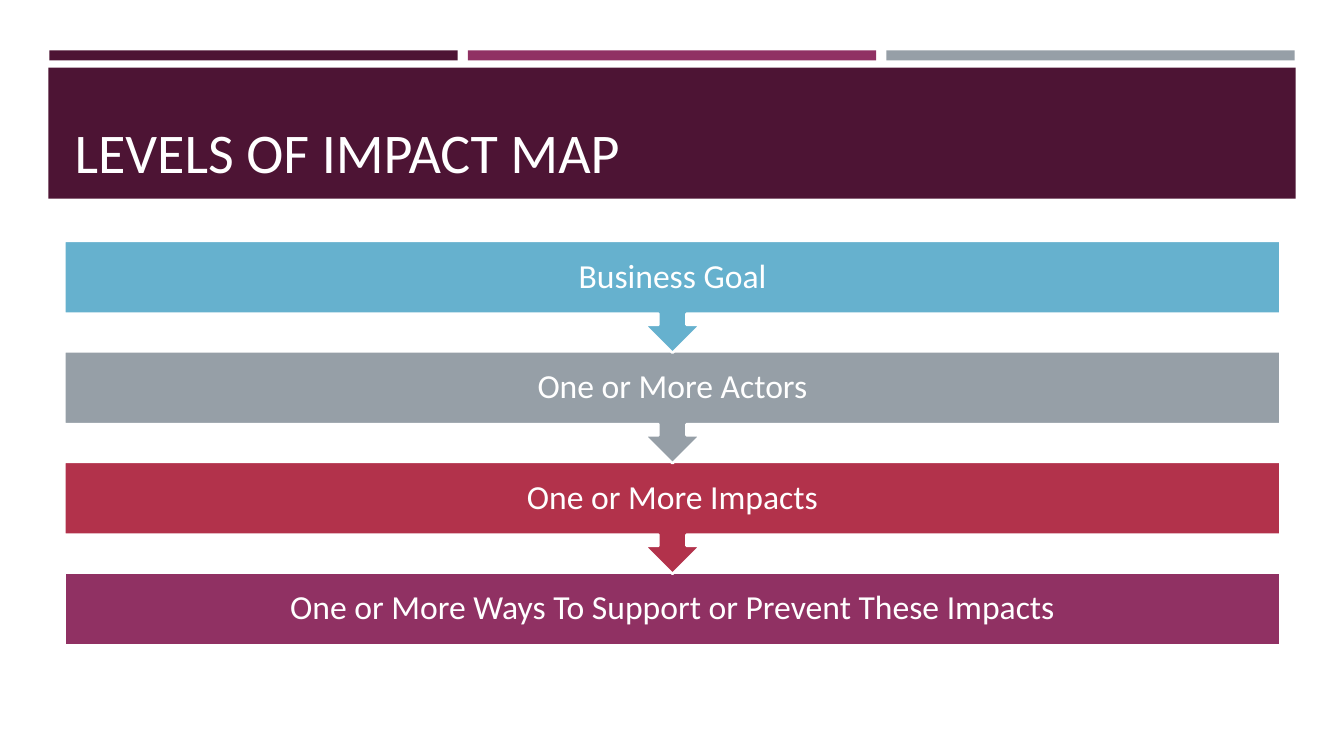
import dataclasses

import pptx
import pptx.dml.color
import pptx.enum.shapes
import pptx.enum.text
import pptx.util

Inches = pptx.util.Inches
Shape = pptx.enum.shapes.MSO_SHAPE
Align = pptx.enum.text.PP_ALIGN
Anchor = pptx.enum.text.MSO_ANCHOR


@dataclasses.dataclass(frozen=True)
class Theme:
    """Hold the colours, font and type sizes of the slide."""

    plum: str = "4D1434"
    magenta: str = "903163"
    grey: str = "969FA7"
    red: str = "B2324B"
    blue: str = "66B1CE"
    white: str = "FFFFFF"
    font: str = "Calibri"
    title_size: int = 40
    level_size: int = 24
    outline: float = 1.75


THEME = Theme()


def set_attributes(target, values):
    """Set every attribute named in a dict."""
    for name, value in values.items():
        setattr(target, name, value)


def colour(value):
    """Turn a hex string into a colour."""
    return pptx.dml.color.RGBColor.from_string(value)


def add_block(slide, kind, box, fill):
    """Add a filled shape without line or shadow."""
    shape = slide.shapes.add_shape(kind, *map(Inches, box))
    shape.shadow.inherit = False
    shape.fill.solid()
    shape.fill.fore_color.rgb = colour(fill)
    shape.line.fill.background()
    return shape


def write_text(shape, text, size, frame_format, paragraph_format):
    """Write one white paragraph into a shape."""
    frame = shape.text_frame
    frame.text = text
    set_attributes(frame, {"word_wrap": True, **frame_format})
    paragraph = frame.paragraphs[0]
    set_attributes(paragraph, paragraph_format)
    set_attributes(paragraph.font, {"name": THEME.font, "size": pptx.util.Pt(size)})
    paragraph.font.color.rgb = colour(THEME.white)


def add_header(slide, text):
    """Add the three bars, the title band and the title."""
    for index, fill in enumerate((THEME.plum, THEME.magenta, THEME.grey)):
        add_block(slide, Shape.RECTANGLE, (0.49 + index * 4.15, 0.5, 4.05, 0.1), fill)
    band = add_block(slide, Shape.RECTANGLE, (0.48, 0.67, 12.37, 1.3), THEME.plum)
    title = slide.shapes.title
    position = zip(("left", "top", "width", "height"), (0.64, 0.77, 12.06, 1.11))
    set_attributes(title, {name: Inches(value) for name, value in position})
    frame_format = {
        "vertical_anchor": Anchor.BOTTOM,
        "auto_size": pptx.enum.text.MSO_AUTO_SIZE.NONE,
    }
    write_text(title, text, THEME.title_size, frame_format, {"alignment": Align.LEFT})
    band.element.addnext(title.element)


def add_level(slide, text, top, fill, is_last):
    """Add one level, with an arrow down unless it is the last."""
    kind = Shape.RECTANGLE if is_last else Shape.DOWN_ARROW_CALLOUT
    height = 0.72 if is_last else 1.11
    shape = add_block(slide, kind, (0.64, top, 12.06, height), fill)
    shape.line.color.rgb = colour(THEME.white)
    shape.line.width = pptx.util.Pt(THEME.outline)
    frame_format = {
        f"margin_{side}": Inches(0.19) for side in ("left", "top", "right", "bottom")
    }
    frame_format["vertical_anchor"] = Anchor.MIDDLE
    paragraph_format = {"alignment": Align.CENTER, "line_spacing": 0.9}
    write_text(shape, text, THEME.level_size, frame_format, paragraph_format)


def main():
    """Build and save the slide."""
    presentation = pptx.Presentation()
    presentation.slide_width = Inches(13.33)
    presentation.slide_height = Inches(7.5)
    slide = presentation.slides.add_slide(presentation.slide_layouts[5])
    add_header(slide, "LEVELS OF IMPACT MAP")
    levels = (
        ("Business Goal", THEME.blue),
        ("One or More Actors", THEME.grey),
        ("One or More Impacts", THEME.red),
        ("One or More Ways To Support or Prevent These Impacts", THEME.magenta),
    )
    last = len(levels) - 1
    first_top, last_top = 2.39, 5.68
    step = (last_top - first_top) / last
    for index, (text, fill) in reversed(list(enumerate(levels))):
        add_level(slide, text, first_top + index * step, fill, index == last)
    presentation.save("out.pptx")


if __name__ == "__main__":
    main()
